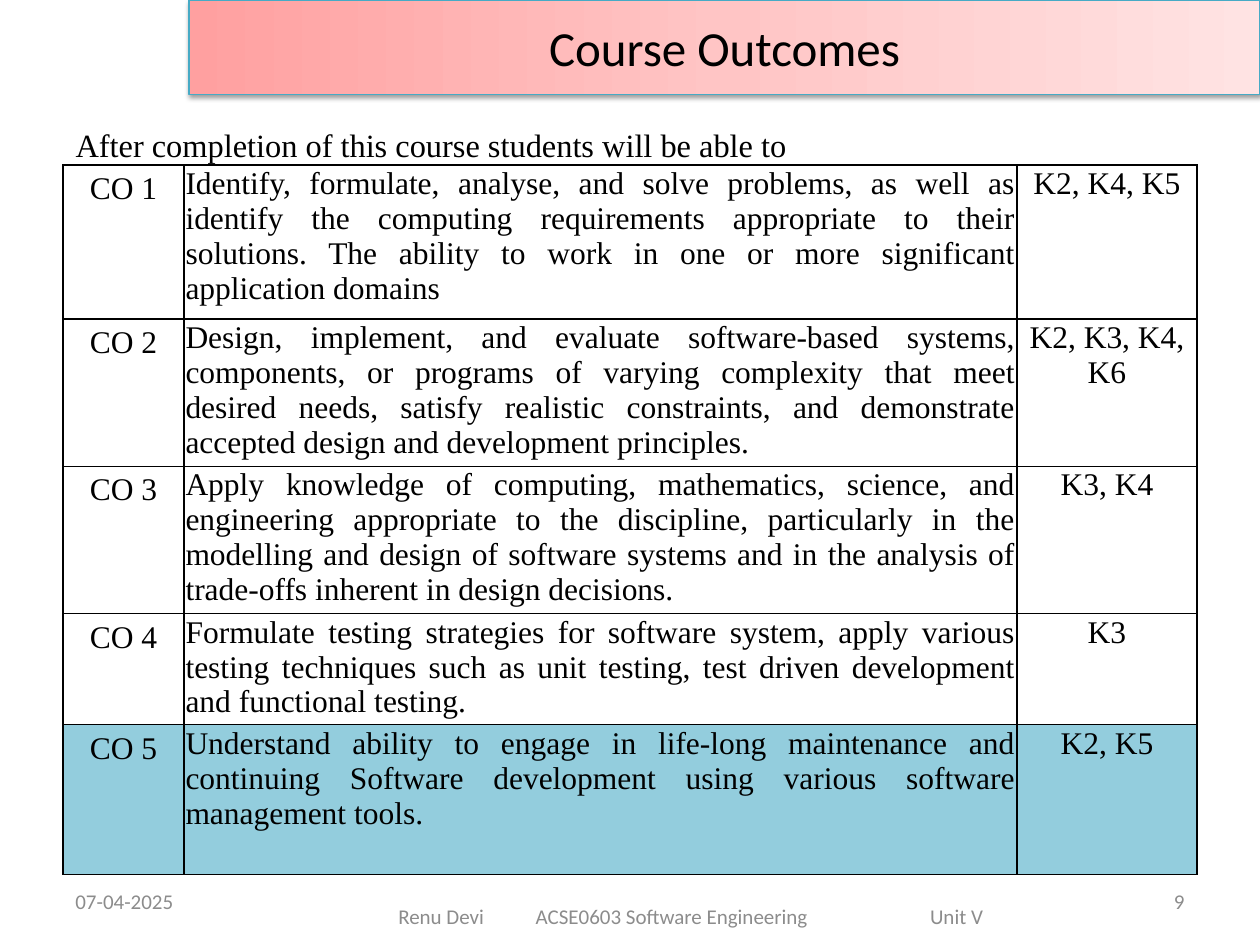
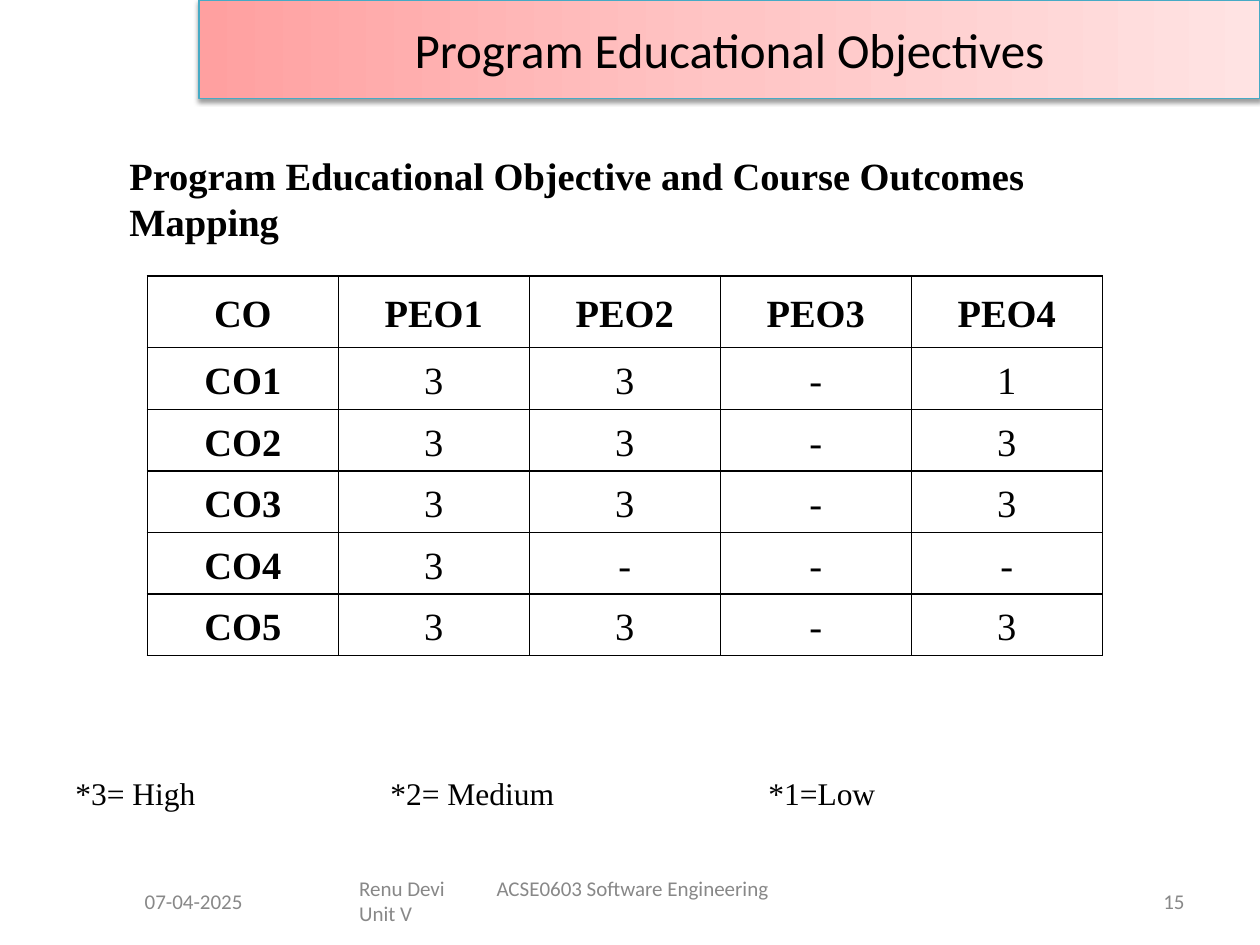
from copy import deepcopy

from lxml.etree import SubElement
from pptx import Presentation
from pptx.dml.color import RGBColor
from pptx.enum.text import MSO_ANCHOR as Anchor
from pptx.enum.text import MSO_AUTO_SIZE as AutoSize
from pptx.enum.text import PP_ALIGN as Align
from pptx.oxml.ns import qn
from pptx.util import Cm, Pt

BLACK = RGBColor(0x00, 0x00, 0x00)
WHITE = RGBColor(0xFF, 0xFF, 0xFF)
DATE_GREY = RGBColor(0x8C, 0x8C, 0x8C)
FOOTER_GREY = RGBColor(0x88, 0x88, 0x88)
HIGHLIGHT = RGBColor(0x93, 0xCD, 0xDD)
BAND_LINE = RGBColor(0x46, 0xAA, 0xC5)
BAND_STOPS = (
    (0, RGBColor(0xFF, 0xA0, 0xA0)),
    (0.5, RGBColor(0xFF, 0xC5, 0xC5)),
    (1, RGBColor(0xFF, 0xE3, 0xE3)),
)

SLIDE_WIDTH, SLIDE_HEIGHT = 25.4, 19.05
FOOTER_HEIGHT = 1.02
TITLE_LAYOUT, BODY_LAYOUT = 5, 1

TITLE_FONT = {"name": "Calibri", "size": Pt(28), "color": BLACK}
FOOTER_FONT = {"name": "Calibri", "size": Pt(12)}
SERIF = {"name": "Times New Roman", "color": BLACK}

DATE = "07-04-2025"
AUTHOR, COURSE, UNIT = "Renu Devi", "ACSE0603 Software Engineering", "Unit V"

OUTCOMES = (
    ("CO 1", "Identify, formulate, analyse, and solve problems, as well as identify the "
     "computing requirements appropriate to their solutions. The ability to work in one or "
     "more significant application domains", "K2, K4, K5"),
    ("CO 2", "Design, implement, and evaluate software-based systems, components, or programs "
     "of varying complexity that meet desired needs, satisfy realistic constraints, and "
     "demonstrate accepted design and development principles.", "K2, K3, K4, K6"),
    ("CO 3", "Apply knowledge of computing, mathematics, science, and engineering appropriate "
     "to the discipline, particularly in the modelling and design of software systems and in "
     "the analysis of trade-offs inherent in design decisions.", "K3, K4"),
    ("CO 4", "Formulate testing strategies for software system, apply various testing "
     "techniques such as unit testing, test driven development and functional testing.", "K3"),
    ("CO 5", "Understand ability to engage in life-long maintenance and continuing Software "
     "development using various software management tools.", "K2, K5"),
)
OUTCOME_COLUMNS = (2.44, 16.79, 3.63)
OUTCOME_ROWS = (3.1, 2.97, 2.97, 2.24, 3.02)

MAPPING = (
    ("CO", "PEO1", "PEO2", "PEO3", "PEO4"),
    ("CO1", "3", "3", "-", "1"),
    ("CO2", "3", "3", "-", "3"),
    ("CO3", "3", "3", "-", "3"),
    ("CO4", "3", "-", "-", "-"),
    ("CO5", "3", "3", "-", "3"),
)
MAPPING_COLUMNS = (3.85,) * 5
MAPPING_ROWS = (1.45,) + (1.24,) * 5


def set_attributes(target, values):
    for name, value in values.items():
        setattr(target, name, value)


def place(shape, box):
    for name, length in zip(("left", "top", "width", "height"), box):
        setattr(shape, name, Cm(length))


def write(text_frame, text, font, align=Align.LEFT, tabs=(), **paragraph_format):
    """Fill the first paragraph and format its runs; tab stops are in centimetres."""
    paragraph = text_frame.paragraphs[0]
    paragraph.text = text
    set_attributes(paragraph, {"alignment": align, **paragraph_format})
    for run in paragraph.runs:
        set_attributes(run.font, {key: value for key, value in font.items() if key != "color"})
        run.font.color.rgb = font["color"]
    if tabs:
        tab_list = SubElement(paragraph._p.get_or_add_pPr(), qn("a:tabLst"))
        for position in tabs:
            SubElement(tab_list, qn("a:tab"), pos=str(Cm(position)), algn="l")


def add_text(slide, box, text, font, frame_format=None, **paragraph_options):
    text_box = slide.shapes.add_textbox(*map(Cm, box))
    set_attributes(text_box.text_frame, {
        "word_wrap": True, "vertical_anchor": Anchor.MIDDLE, **(frame_format or {})})
    write(text_box.text_frame, text, font, **paragraph_options)


def add_band_shadow(shape):
    effects = SubElement(shape._element.spPr, qn("a:effectLst"))
    shadow = SubElement(effects, qn("a:outerShdw"), blurRad=str(Pt(3.1)), dist=str(Pt(1.6)),
                        dir="5400000", rotWithShape="0")
    color = SubElement(shadow, qn("a:srgbClr"), val=str(BLACK))
    SubElement(color, qn("a:alpha"), val="38000")


def title_band(slide, text, left, height):
    """Turn the title into a gradient band reaching the right edge."""
    title = slide.shapes.title
    place(title, (left, 0, SLIDE_WIDTH - left, height))
    title.fill.gradient()
    stop_list = title._element.spPr.find(qn("a:gradFill")).find(qn("a:gsLst"))
    stop_list.insert(1, deepcopy(stop_list[0]))
    for stop, (position, color) in zip(title.fill.gradient_stops, BAND_STOPS):
        stop.position = position
        stop.color.rgb = color
    title.fill.gradient_angle = 0
    title.line.color.rgb = BAND_LINE
    title.line.width = Pt(0.75)
    add_band_shadow(title)
    set_attributes(title.text_frame, {
        "auto_size": AutoSize.NONE, "vertical_anchor": Anchor.MIDDLE})
    write(title.text_frame, text, TITLE_FONT, Align.CENTER)


def footer(slide, number, color, date_box, date_align, course_box, course_text,
           course_inset, tabs):
    font = {**FOOTER_FONT, "color": color}
    add_text(slide, (*date_box, FOOTER_HEIGHT), DATE, font, align=date_align)
    add_text(slide, (*course_box, FOOTER_HEIGHT), course_text, font,
             {"margin_left": Cm(course_inset)}, tabs=tabs)
    add_text(slide, (18.21, 17.65, 5.92, FOOTER_HEIGHT), str(number), font, align=Align.RIGHT)


def border_cell(cell):
    properties = cell._tc.get_or_add_tcPr()
    for index, side in enumerate(("lnL", "lnR", "lnT", "lnB")):
        line = SubElement(properties, qn(f"a:{side}"), w=str(Pt(1)))
        fill = SubElement(line, qn("a:solidFill"))
        SubElement(fill, qn("a:srgbClr"), val=str(BLACK))
        properties.insert(index, line)


def add_grid(slide, left, top, columns, rows, content, format_cell):
    """Draw a bordered table; format_cell(cell, row, column, text) fills each cell."""
    box = (left, top, sum(columns), sum(rows))
    table = slide.shapes.add_table(len(rows), len(columns), *map(Cm, box)).table
    set_attributes(table, {"first_row": False, "horz_banding": False})
    for column, width in zip(table.columns, columns):
        column.width = Cm(width)
    for row, height in zip(table.rows, rows):
        row.height = Cm(height)
    for row, texts in enumerate(content):
        for column, text in enumerate(texts):
            cell = table.cell(row, column)
            format_cell(cell, row, column, text)
            border_cell(cell)


def format_outcome(cell, row, column, text):
    cell.fill.solid()
    cell.fill.fore_color.rgb = HIGHLIGHT if row == len(OUTCOMES) - 1 else WHITE
    if column > 0:
        set_attributes(cell, {"margin_left": Cm(0.03), "margin_right": Cm(0.03),
                              "margin_top": Cm(0.03), "margin_bottom": 0})
    write(cell.text_frame, text, {**SERIF, "size": Pt(18)},
          Align.JUSTIFY if column == 1 else Align.CENTER)


def format_mapping(cell, row, column, text):
    if row == 0:
        cell.fill.background()
    else:
        cell.fill.solid()
        cell.fill.fore_color.rgb = WHITE
    set_attributes(cell, {"margin_left": Cm(0.18), "margin_right": Cm(0.18), "margin_top": 0,
                          "margin_bottom": 0, "vertical_anchor": Anchor.MIDDLE})
    write(cell.text_frame, text, {**SERIF, "size": Pt(22), "bold": row == 0 or column == 0},
          Align.CENTER, line_spacing=1.15)


def introduction(slide, box, text):
    body = slide.placeholders[1]
    place(body, box)
    body.text_frame.auto_size = AutoSize.NONE
    write(body.text_frame, text, {**SERIF, "size": Pt(18.5)}, Align.JUSTIFY)
    properties = body.text_frame.paragraphs[0]._p.get_or_add_pPr()
    properties.set("marL", "0")
    properties.set("indent", "0")
    SubElement(properties, qn("a:buNone"))


def course_outcomes(presentation):
    slide = presentation.slides.add_slide(presentation.slide_layouts[BODY_LAYOUT])
    title_band(slide, "Course Outcomes", 3.81, 1.9)
    introduction(slide, (1.27, 2.39, 22.86, 0.91),
                 "After completion of this course students will be able to")
    add_grid(slide, 1.27, 3.33, OUTCOME_COLUMNS, OUTCOME_ROWS, OUTCOMES, format_outcome)
    footer(slide, 9, DATE_GREY, (1.27, 17.65, 5.92), Align.LEFT, (7.19, 17.96, 13.97),
           "\t".join((AUTHOR, COURSE, UNIT)), 0.84, (2.77, 10.72))


def educational_objectives(presentation):
    slide = presentation.slides.add_slide(presentation.slide_layouts[TITLE_LAYOUT])
    title_band(slide, "Program Educational Objectives", 4.01, 1.98)
    add_text(slide, (1.85, 2.92, 21.64, 2.01),
             "Program Educational Objective and Course Outcomes Mapping",
             {**SERIF, "size": Pt(22), "bold": True},
             {"margin_left": Cm(0.76), "margin_bottom": 0})
    add_grid(slide, 2.97, 5.56, MAPPING_COLUMNS, MAPPING_ROWS, MAPPING, format_mapping)
    add_text(slide, (0, 15.47, 24.82, 1.02), "\t".join(("*3= High", "*2= Medium", "*1=Low")),
             {**SERIF, "size": Pt(18)}, {"margin_left": Cm(1.52)}, tabs=(6.35, 13.97))
    footer(slide, 15, FOOTER_GREY, (-0.64, 17.65, 9.09), Align.CENTER, (6.99, 17.65, 11.63),
           f"{AUTHOR}\t{COURSE}\v{UNIT}", 0.25, (2.77,))


def main():
    presentation = Presentation()
    presentation.slide_width = Cm(SLIDE_WIDTH)
    presentation.slide_height = Cm(SLIDE_HEIGHT)
    course_outcomes(presentation)
    educational_objectives(presentation)
    presentation.save("out.pptx")


if __name__ == "__main__":
    main()
